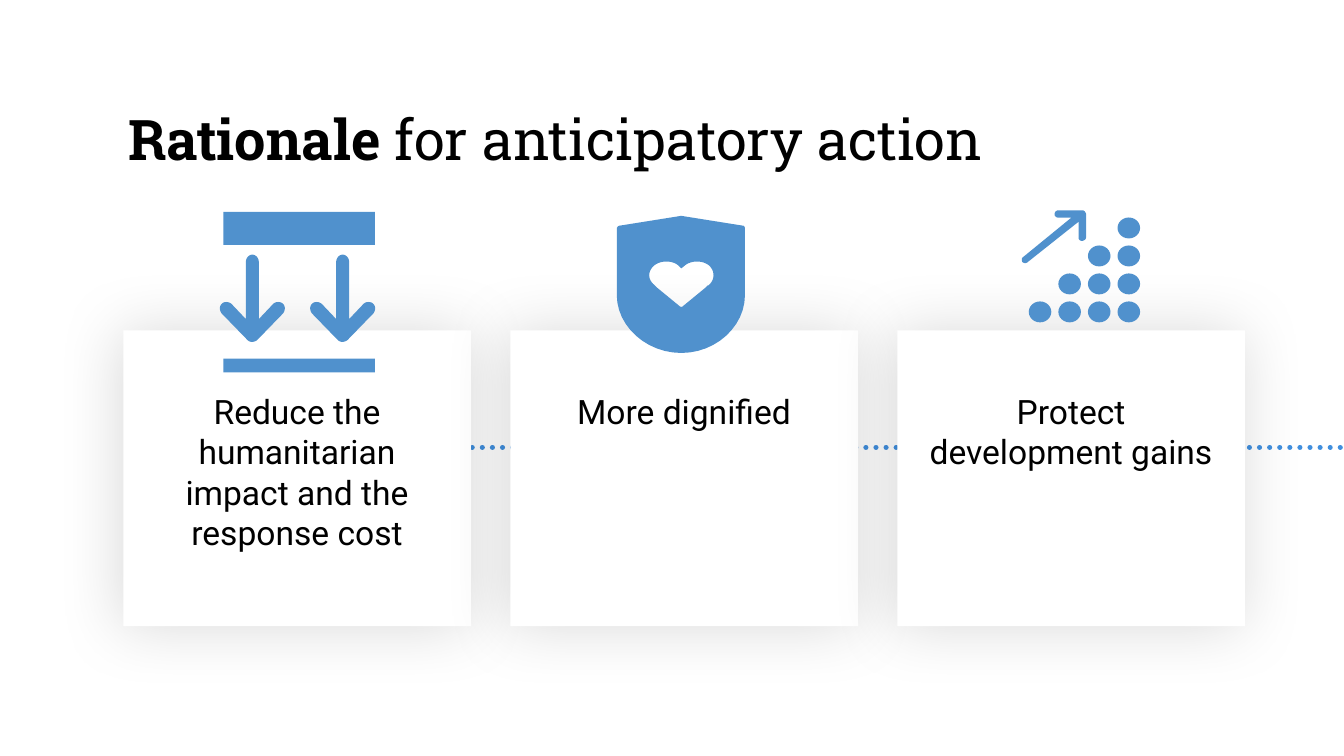
"""Build the slide on the rationale for anticipatory action."""
from dataclasses import dataclass

from lxml import etree
from pptx import Presentation
from pptx.dml.color import RGBColor
from pptx.enum.dml import MSO_LINE
from pptx.enum.shapes import MSO_CONNECTOR, MSO_SHAPE
from pptx.enum.text import MSO_ANCHOR, MSO_AUTO_SIZE, PP_ALIGN
from pptx.oxml.ns import qn
from pptx.util import Inches, Pt

RECT, OVAL = MSO_SHAPE.RECTANGLE, MSO_SHAPE.OVAL
STRAIGHT, DOTTED = MSO_CONNECTOR.STRAIGHT, MSO_LINE.ROUND_DOT
LEFT, CENTER = PP_ALIGN.LEFT, PP_ALIGN.CENTER
TOP, FIXED = MSO_ANCHOR.TOP, MSO_AUTO_SIZE.NONE


@dataclass(frozen=True)
class Theme:
    ink: str = "000000"
    paper: str = "FFFFFF"
    blue: str = "5091CD"
    track: str = "418FDE"
    head: str = "Roboto Slab"
    body: str = "Roboto"
    big: int = 50
    text: int = 30


CARDS = ["Reduce the humanitarian impact and the response cost",
         "More dignified", "Protect development gains"]
DOWN = [(3.13, 3.16), (3.09, 3.16, 3.05, 3.2, 3.05, 3.25), (3.05, 3.96), (2.87, 3.77),
        (2.83, 3.74, 2.78, 3.74, 2.75, 3.77), (2.72, 3.8, 2.72, 3.85, 2.75, 3.89),
        (3.07, 4.22), (3.1, 4.25, 3.15, 4.25, 3.19, 4.22), (3.51, 3.89),
        (3.54, 3.85, 3.54, 3.8, 3.51, 3.77), (3.48, 3.74, 3.42, 3.74, 3.39, 3.77),
        (3.21, 3.96), (3.21, 3.25), (3.21, 3.2, 3.17, 3.16, 3.13, 3.16)]
RISE = [(13.47, 2.65), (13.46, 2.63, 13.45, 2.61, 13.42, 2.61), (13.12, 2.61),
        (13.09, 2.62, 13.08, 2.64, 13.08, 2.66), (13.08, 2.68, 13.1, 2.7, 13.12, 2.7),
        (13.29, 2.7), (12.69, 3.19), (12.67, 3.2, 12.67, 3.23, 12.68, 3.25),
        (12.7, 3.27, 12.73, 3.27, 12.75, 3.25), (13.38, 2.75), (13.38, 2.94),
        (13.37, 2.96, 13.39, 2.99, 13.42, 2.99), (13.44, 2.99, 13.47, 2.97, 13.47, 2.95)]
SHIELD = [(9.21, 2.8), (8.46, 2.68), (8.44, 2.68), (7.69, 2.8),
          (7.67, 2.8, 7.65, 2.82, 7.65, 2.84), (7.65, 3.66),
          (7.65, 4.05, 8.02, 4.38, 8.45, 4.38), (8.88, 4.38, 9.24, 4.05, 9.24, 3.66),
          (9.24, 2.84), (9.24, 2.82, 9.23, 2.8, 9.21, 2.8)]
HEART = [(8.78, 3.54), (8.75, 3.57), (8.47, 3.8), (8.46, 3.81, 8.44, 3.81, 8.43, 3.8),
         (8.15, 3.57), (8.12, 3.54), (8.03, 3.47, 8.03, 3.36, 8.12, 3.29),
         (8.2, 3.23, 8.33, 3.23, 8.41, 3.29), (8.45, 3.33), (8.5, 3.29),
         (8.58, 3.23, 8.71, 3.23, 8.79, 3.29), (8.87, 3.36, 8.87, 3.47, 8.79, 3.54)]


def trace(path, shift=0, steps=12):
    """Turn points and cubic curves into a list of points in EMU."""
    pts = []
    for item in path:
        if len(item) == 2:
            pts.append(item)
            continue
        ends = [pts[-1], item[:2], item[2:4], item[4:]]
        for n in range(1, steps + 1):
            t = n / steps
            mix = ((1 - t) ** 3, 3 * t * (1 - t) ** 2, 3 * t * t * (1 - t), t ** 3)
            pts.append(tuple(sum(m * e[i] for m, e in zip(mix, ends)) for i in (0, 1)))
    return [(Inches(x + shift), Inches(y)) for x, y in pts]


class Deck:
    """Hold the theme and the current slide."""

    def __init__(self, theme):
        self.theme = theme
        self.file = Presentation()
        self.file.slide_width, self.file.slide_height = Inches(16.67), Inches(9.38)
        self.slide = self.file.slides.add_slide(self.file.slide_layouts[5])
        self.shapes = self.slide.shapes

    def apply(self, obj, values):
        """Set each named value on an object."""
        for name, value in values.items():
            setattr(obj, name, value)

    def font(self, run, face, size, bold=False):
        """Style one run."""
        self.apply(run.font, dict(name=face, size=Pt(size), bold=bold))
        run.font.color.rgb = RGBColor.from_string(self.theme.ink)

    def paint(self, shape, color):
        """Give a shape a plain fill with no line or shadow."""
        shape.fill.solid()
        shape.fill.fore_color.rgb = RGBColor.from_string(color)
        shape.line.fill.background()
        shape.shadow.inherit = False
        return shape

    def title(self, parts, x, y, w, h):
        """Place the title and fill it from (text, bold) parts."""
        box = self.shapes.title
        self.apply(box, dict(left=Inches(x), top=Inches(y), width=Inches(w), height=Inches(h)))
        self.apply(box.text_frame, dict(vertical_anchor=TOP, auto_size=FIXED, word_wrap=True))
        para = box.text_frame.paragraphs[0]
        self.apply(para, dict(alignment=LEFT, line_spacing=0.9))
        for text, bold in parts:
            run = para.add_run()
            run.text = text
            self.font(run, self.theme.head, self.theme.big, bold)

    def block(self, kind, x, y, w, h, color):
        """Add a plain preset shape."""
        shape = self.shapes.add_shape(kind, Inches(x), Inches(y), Inches(w), Inches(h))
        return self.paint(shape, color)

    def card(self, text, x, y, w, h):
        """Add a white card with a soft shadow and centred text."""
        card = self.block(RECT, x, y, w, h, self.theme.paper)
        glow = etree.SubElement(
            card._element.spPr.find(qn("a:effectLst")), qn("a:outerShdw"),
            blurRad=str(Pt(59)), dist=str(Pt(3)), dir="10800000", algn="ctr", rotWithShape="0")
        tint = etree.SubElement(glow, qn("a:srgbClr"), val=self.theme.ink)
        etree.SubElement(tint, qn("a:alpha"), val="14000")
        side = Inches(0.38)
        self.apply(card.text_frame, dict(
            margin_left=side, margin_right=side, margin_bottom=side,
            margin_top=Inches(0.75), vertical_anchor=TOP, word_wrap=True))
        para = card.text_frame.paragraphs[0]
        para.alignment = CENTER
        run = para.add_run()
        run.text = text
        self.font(run, self.theme.body, self.theme.text)

    def track(self, left, right, y):
        """Add a level line of round dots."""
        line = self.shapes.add_connector(STRAIGHT, Inches(left), Inches(y), Inches(right), Inches(y))
        line.line.color.rgb = RGBColor.from_string(self.theme.track)
        self.apply(line.line, dict(width=Pt(4.5), dash_style=DOTTED))
        prop = line._element.spPr
        prop.find(qn("a:ln")).set("cap", "rnd")
        etree.SubElement(prop, qn("a:effectLst"))

    def shape(self, *paths, shift=0):
        """Add a blue outline; later paths cut holes in the first."""
        first, *holes = [trace(path, shift) for path in paths]
        pen = self.shapes.build_freeform(*first[0])
        pen.add_line_segments(first[1:], close=True)
        for hole in holes:
            pen.move_to(*hole[0])
            pen.add_line_segments(hole[1:], close=True)
        self.paint(pen.convert_to_shape(), self.theme.blue)


def main():
    """Draw the slide and save it."""
    theme = Theme()
    deck = Deck(theme)
    deck.track(4.48, 16.67, 5.55)
    deck.title([("Rationale", True), (" for anticipatory action", False)], 1.49, 1.34, 13.12, 1.67)
    for i, text in enumerate(CARDS):
        deck.card(text, 1.53 + 4.8 * i, 4.1, 4.31, 3.67)

    for top, high in ((2.63, 0.41), (4.45, 0.17)):
        deck.block(RECT, 2.77, top, 1.88, high, theme.blue)
    for shift in (0, 1.12):
        deck.shape(DOWN, shift=shift)

    deck.shape(SHIELD, HEART)

    deck.shape(RISE)
    for col in range(4):
        for row in range(col + 1):
            deck.block(OVAL, 12.76 + 0.367 * col, 3.74 - 0.347 * row, 0.28, 0.26, theme.blue)

    deck.file.save("out.pptx")


if __name__ == "__main__":
    main()
